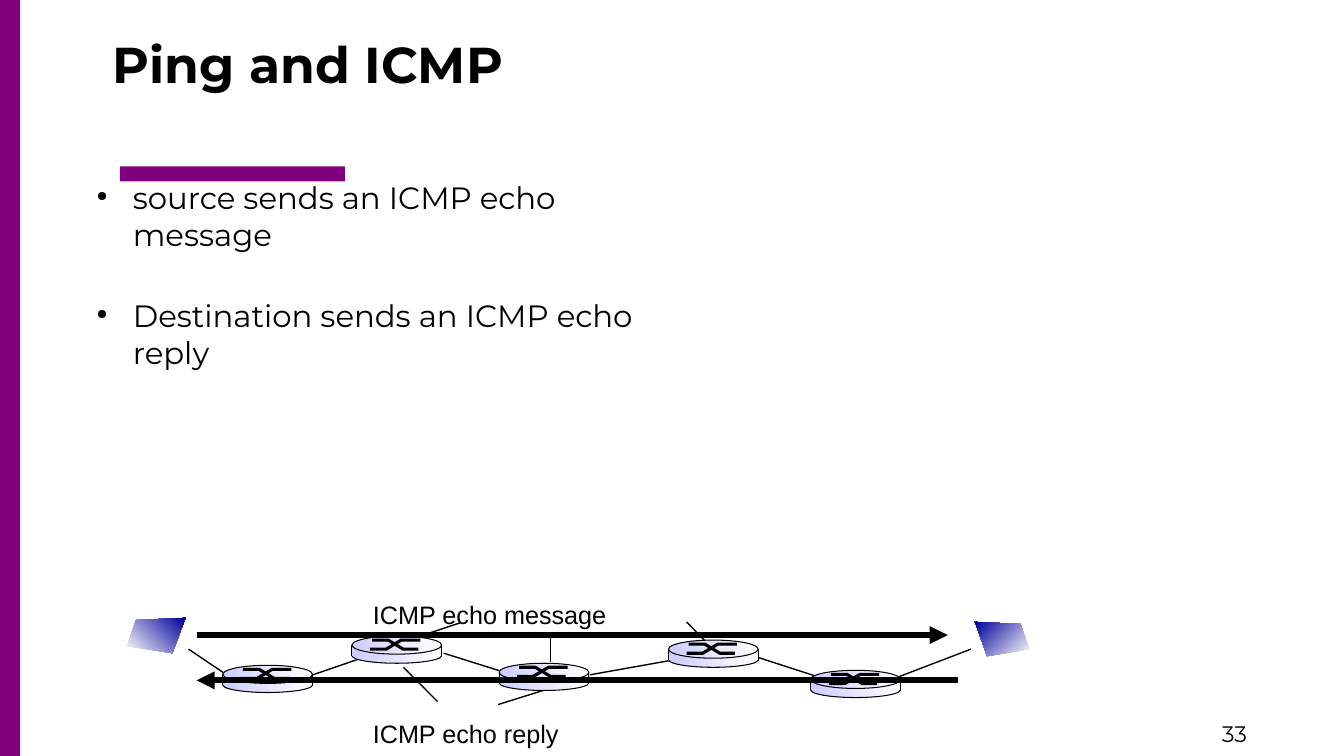
from lxml import etree
from pptx import Presentation
from pptx.dml.color import RGBColor
from pptx.enum.shapes import MSO_CONNECTOR, MSO_SHAPE
from pptx.enum.text import MSO_ANCHOR
from pptx.oxml.ns import qn
from pptx.util import Inches, Pt

LINE, RECT, OVAL = MSO_CONNECTOR.STRAIGHT, MSO_SHAPE.RECTANGLE, MSO_SHAPE.OVAL
TOP, MID = MSO_ANCHOR.TOP, MSO_ANCHOR.MIDDLE

# Content
TITLE = "Ping and ICMP"
POINTS = ["source sends an ICMP echo message", "Destination sends an ICMP echo reply"]
NUMBER = "33"
LABELS = [("ICMP echo message", (3.6, 5.9, 2.51, 0.38)),
          ("ICMP echo reply", (3.6, 7.08, 2.04, 0.38))]
BARS = [(1.19, 1.65, 2.23, 0.15), (0, 0, 0.2, 7.5)]
LINKS = [(1.87, 6.44, 2.3, 6.73), (3.03, 6.72, 3.7, 6.49), (4.4, 6.48, 5.1, 6.7),
         (4.56, 6.18, 4.05, 6.35), (6.72, 6.54, 5.82, 6.7), (7.45, 6.5, 8.16, 6.73),
         (9.63, 6.44, 8.82, 6.75), (4, 6.62, 4.34, 6.96), (6.81, 6.17, 7.14, 6.51),
         (5.45, 6.83, 4.94, 6.99), (5.46, 6.29, 5.46, 6.57)]
# Each host: outline and gradient angle
HOSTS = [([(1.84, 6.13), (1.35, 6.15), (1.26, 6.41), (1.71, 6.48)], 45),
         ([(9.67, 6.17), (10.12, 6.19), (10.21, 6.44), (9.79, 6.51)], 135)]
ROUTERS = [(8.04, 6.65), (6.63, 6.35), (4.95, 6.58), (3.49, 6.31), (2.21, 6.6)]
# Router parts, measured from its top left corner
DISKS = [(OVAL, 0.12, 0.89, 0.15), (RECT, 0.11, 0.9, 0.09), (OVAL, 0, 0.89, 0.18)]
CROSS = [[(0.18, 0.13), (0.34, 0.13), (0.49, 0.04), (0.68, 0.04)],
         [(0.2, 0.04), (0.36, 0.04), (0.51, 0.13), (0.66, 0.13)]]
SIDES = [(0, 0.09, 0, 0.2), (0.89, 0.09, 0.89, 0.21)]
FLOWS = [(1.95, 6.3, 9.4, 6.3), (9.5, 6.75, 1.95, 6.75)]

THEME = {
    "ink": RGBColor(0, 0, 0), "bar": RGBColor(0x80, 0, 0x80),
    "white": RGBColor(255, 255, 255), "host": RGBColor(0, 0, 0x99),
    "router": RGBColor(0xCC, 0xCC, 0xFF),
    "main": "Montserrat", "label": "Arial",
    "title": 36, "body": 22, "note": 18, "page": 16,
    "thin": 0.75, "link": 1, "cross": 2.25, "flow": 4.31,
}

deck = Presentation()
deck.slide_width, deck.slide_height = Inches(13.33), Inches(7.5)
slide = deck.slides.add_slide(deck.slide_layouts[6])
page = slide.shapes


def add_text(lines, place, size, font=THEME["main"], bold=False, anchor=TOP,
             left=0, hang=0, gap=0, inset=0.05, right=0.1, mark=None):
    frame = page.add_textbox(*map(Inches, place)).text_frame
    frame.word_wrap, frame.vertical_anchor = True, anchor
    frame.margin_top, frame.margin_right = Inches(inset), Inches(right)
    for i, line in enumerate(lines):
        para = frame.paragraphs[0] if i == 0 else frame.add_paragraph()
        if i:
            para.space_before = Pt(gap)
        props = para._p.get_or_add_pPr()
        props.set("marL", str(Inches(left)))
        props.set("indent", str(Inches(hang)))
        if mark:
            tint = etree.SubElement(props, qn("a:buClr"))
            etree.SubElement(tint, qn("a:srgbClr"), val=str(THEME["ink"]))
            etree.SubElement(props, qn("a:buSzPct"), val="45000")
            etree.SubElement(props, qn("a:buChar"), char=mark)
        run = para.add_run()
        run.text = line
        run.font.name, run.font.size, run.font.bold = font, Pt(size), bold
        run.font.color.rgb = THEME["ink"]


def add_line(home, ends, width, arrow=False):
    link = home.add_connector(LINE, *map(Inches, ends))
    link.line.color.rgb, link.line.width = THEME["ink"], Pt(width)
    etree.SubElement(link._element.spPr, qn("a:effectLst"))
    if arrow:
        etree.SubElement(link.line._get_or_add_ln(), qn("a:tailEnd"), type="triangle")


def add_path(home, dots, closed):
    dots = [(Inches(x), Inches(y)) for x, y in dots]
    draft = home.build_freeform(*dots[0])
    draft.add_line_segments(dots[1:], close=closed)
    return draft.convert_to_shape()


def style(shape, fill=None, angle=None, width=None):
    shape.shadow.inherit = False
    if fill is None:
        shape.fill.background()
    elif angle is None:
        shape.fill.solid()
        shape.fill.fore_color.rgb = fill
    else:
        shape.fill.gradient()
        shape.fill.gradient_angle = angle
        for stop, color, spot in zip(shape.fill.gradient_stops, (THEME["white"], fill), (0, 1)):
            stop.color.rgb, stop.position = color, spot
    if width:
        shape.line.color.rgb, shape.line.width = THEME["ink"], Pt(width)
    else:
        shape.line.fill.background()


def add_router(x, y):
    home = page.add_group_shape().shapes
    for kind, drop, wide, high in DISKS:
        disk = home.add_shape(kind, *map(Inches, (x, y + drop, wide, high)))
        style(disk, THEME["router"], 180, THEME["thin"] if kind == OVAL else None)
    for dots in CROSS:
        path = add_path(home, [(x + dx, y + dy) for dx, dy in dots], False)
        style(path, width=THEME["cross"])
    for x1, y1, x2, y2 in SIDES:
        add_line(home, (x + x1, y + y1, x + x2, y + y2), THEME["thin"])


# Frame and text
for place in BARS:
    style(page.add_shape(RECT, *map(Inches, place)), THEME["bar"])
add_text([NUMBER], (12.02, 7.1, 1.3, 0.4), THEME["page"])
add_text([TITLE], (0.78, 0.09, 11.33, 1.07), THEME["title"], bold=True, anchor=MID, left=0.24)
add_text(POINTS, (0.74, 1.28, 5.67, 5.08), THEME["body"], left=0.48, hang=-0.36,
         gap=32, inset=0.49, mark="●")

# Network
for ends in LINKS:
    add_line(page, ends, THEME["link"])
for dots, angle in HOSTS:
    style(add_path(page, dots, True), THEME["host"], angle)
for spot in ROUTERS:
    add_router(*spot)

# Message flows
for ends in FLOWS:
    add_line(page, ends, THEME["flow"], arrow=True)
for text, place in LABELS:
    add_text([text], place, THEME["note"], font=THEME["label"], right=0)

deck.save("out.pptx")
